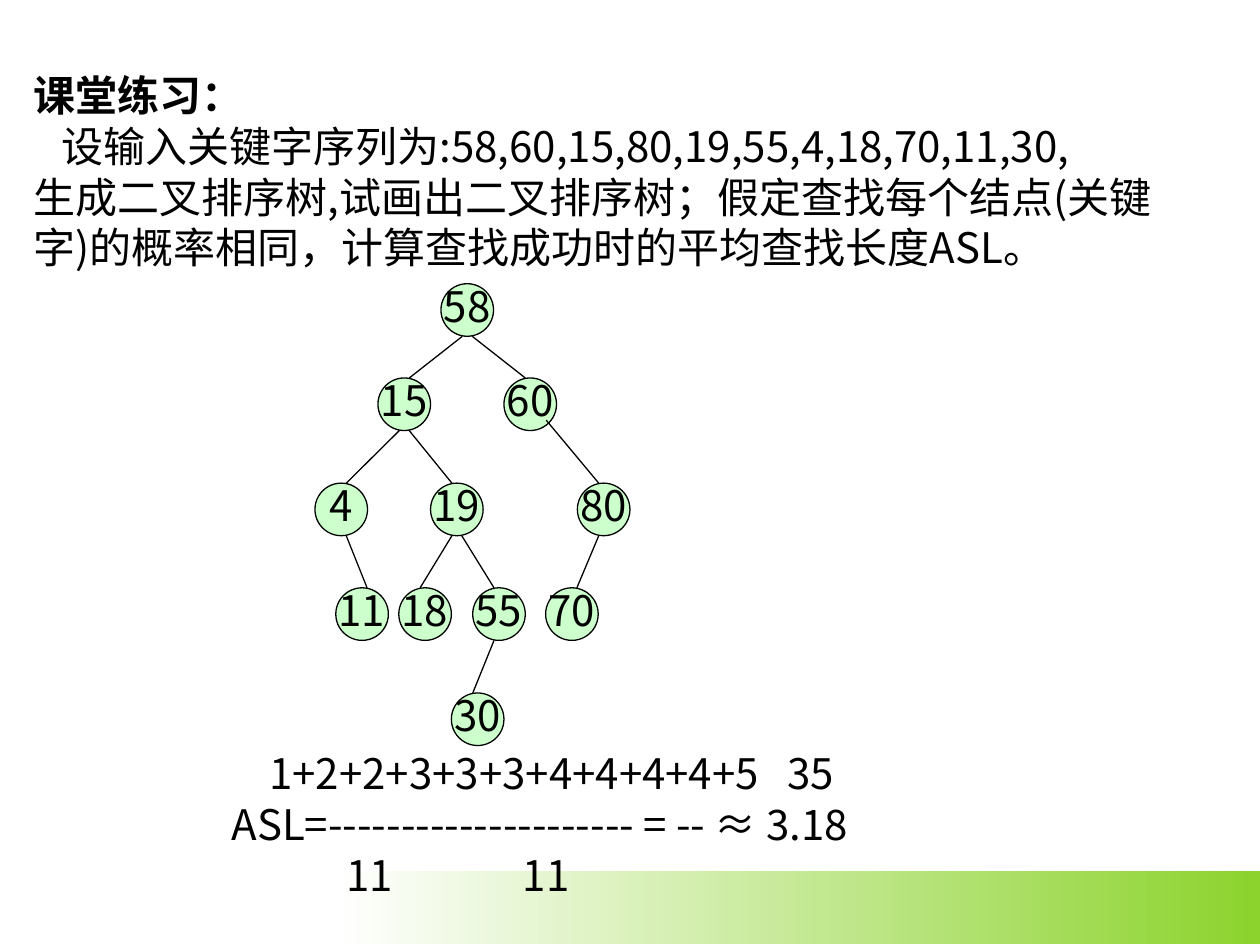
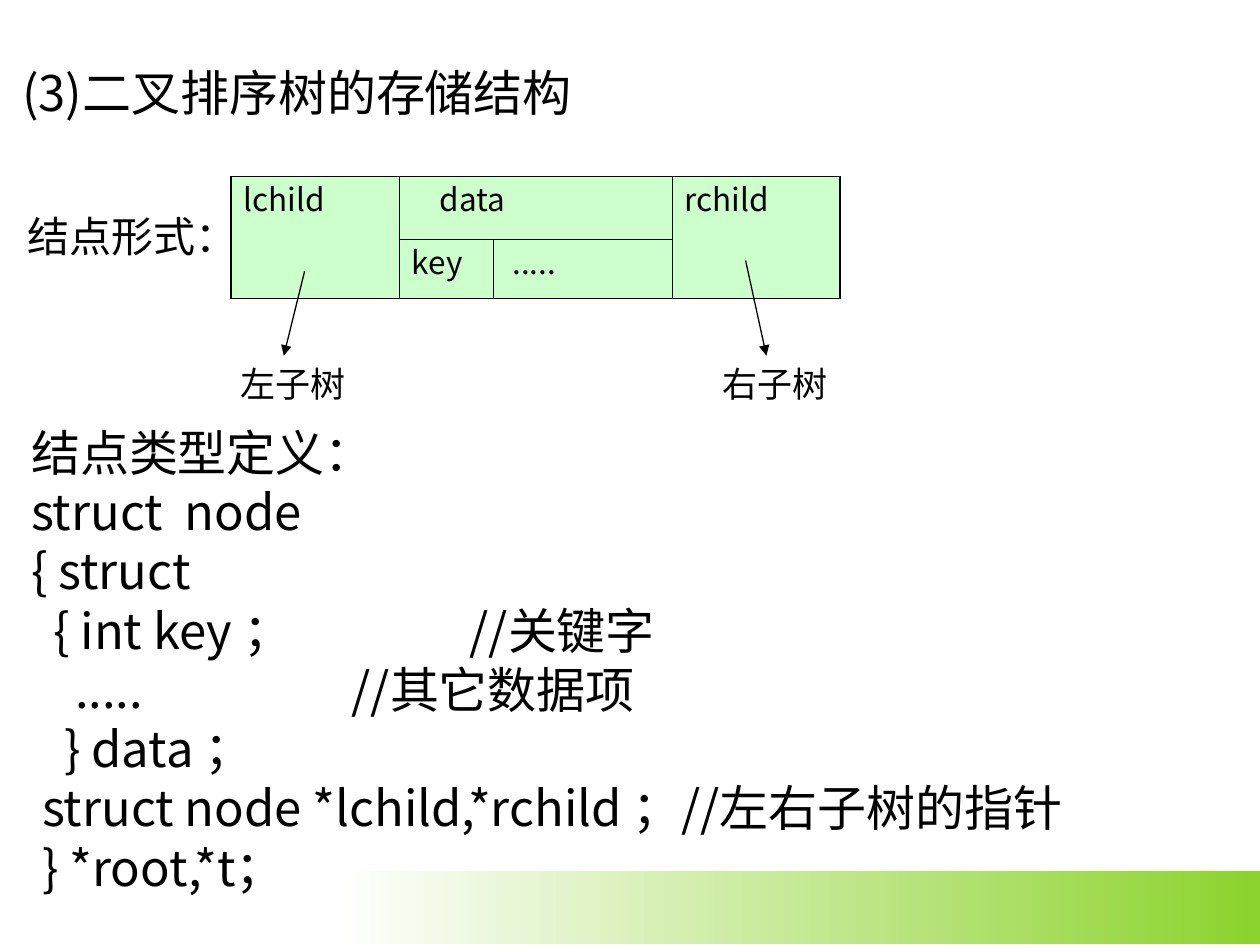
"""Build two slides on binary search trees: a class exercise and the node storage structure."""
from lxml.etree import SubElement
from pptx import Presentation
from pptx.dml.color import RGBColor
from pptx.enum.shapes import MSO_CONNECTOR as CONN, MSO_SHAPE as SHAPE
from pptx.enum.text import MSO_ANCHOR as ANCHOR, PP_ALIGN as ALIGN
from pptx.oxml.ns import qn
from pptx.util import Cm, Pt

COLORS = {"ink": "000000", "node": "CCFFCC", "white": "FFFFFF", "band": "8CD32D"}
FONT = "Noto Sans CJK SC"
LEADING = 1.21

EXERCISE = [
    ("课堂练习：", {"bold": True}),
    ("设输入关键字序列为:58,60,15,80,19,55,4,18,70,11,30,", {"indent": 0.56}),
    ("生成二叉排序树,试画出二叉排序树；假定查找每个结点(关键", {}),
    ("字)的概率相同，计算查找成功时的平均查找长度ASL。", {}),
]
ASL = [
    ("\t1+2+2+3+3+3+4+4+4+4+5\t35", {"tabs": (0.76, 11.2)}),
    ("ASL=--------------------- = -- ≈ 3.18", {}),
    ("\t11\t11", {"tabs": (2.31, 5.87)}),
]

NODE_SIZE = 1.06
LEVEL_TOPS = [5.72, 7.62, 9.74, 11.85, 13.97]
LEVELS = [
    {58: 8.89},
    {15: 7.62, 60: 10.16},
    {4: 6.35, 19: 8.68, 80: 11.64},
    {11: 6.77, 18: 8.04, 55: 9.53, 70: 11.0},
    {30: 9.1},
]
EDGES = [
    (58, 15, -0.1, 0.1), (58, 60, 0.1, -0.1),
    (15, 4, -0.1, 0.1), (15, 19, 0.1, -0.1), (60, 80, 0.32, -0.1),
    (4, 11, 0.1, 0.1), (19, 18, -0.1, -0.1), (19, 55, 0.1, -0.1),
    (80, 70, -0.1, 0.1), (55, 30, -0.1, -0.1),
]
EDGE_LIFT = {60: 0.21}

TITLE = [("(3)二叉排序树的存储结构", {})]
COLUMNS = [3.39, 1.9, 3.6, 3.39]
ROWS = [1.27, 1.19]
FIELDS = [
    (0, 0, 1, 0, "lchild", 0.25), (0, 1, 0, 2, "data", 0.81),
    (0, 3, 1, 3, "rchild", 0.25), (1, 1, 1, 1, "key", 0.25),
    (1, 2, 1, 2, ".....", 0.38),
]
ARROWS = [((6.14, 5.47), (5.72, 7.17)), ((15.03, 5.25), (15.45, 7.17))]
LABELS = [
    ("左子树", (4.6, 7.17, 2.62, 1.11), 20),
    ("右子树", (14.32, 7.17, 2.62, 1.11), 20),
    ("结点形式：", (0.3, 4.11, 4.72, 1.27), 24),
]
STRUCT = [
    ("结点类型定义：", {}),
    ("struct  node", {}),
    ("{ struct", {}),
    ("  { int key ；\t//关键字", {"tabs": (8.84,)}),
    ("    .....\t//其它数据项", {"tabs": (6.46,)}),
    ("   } data ；", {}),
    (" struct node *lchild,*rchild ；//左右子树的指针", {}),
    (" } *root,*t；", {}),
]


def rgb(name):
    return RGBColor.from_string(COLORS[name])


def write(p, text, size, bold=False, indent=0, tabs=(), spacing=None):
    pPr = p._p.get_or_add_pPr()
    if indent:
        pPr.set("indent", str(Cm(indent)))
    if tabs:
        stops = SubElement(pPr, qn("a:tabLst"))
        for pos in tabs:
            SubElement(stops, qn("a:tab"), pos=str(Cm(pos)), algn="l")
    p.line_spacing = spacing or Pt(size * LEADING)
    r = p.add_run()
    r.text = text
    for key, value in {"size": Pt(size), "name": FONT, "bold": bold}.items():
        setattr(r.font, key, value)
    r.font.color.rgb = rgb("ink")
    SubElement(r._r.get_or_add_rPr(), qn("a:ea"), typeface=FONT)


def add_text(s, box, lines, size, wrap=True):
    tf = s.shapes.add_textbox(*map(Cm, box)).text_frame
    tf.word_wrap = wrap
    for i, (text, fmt) in enumerate(lines):
        p = tf.add_paragraph() if i else tf.paragraphs[0]
        write(p, text, size, **fmt)


def add_line(s, start, end, arrow=False):
    c = s.shapes.add_connector(CONN.STRAIGHT, *map(Cm, start + end))
    c.line.color.rgb = rgb("ink")
    c.line.width = Pt(0.75)
    spPr = c._element.spPr
    if arrow:
        SubElement(spPr.find(qn("a:ln")), qn("a:tailEnd"), type="triangle")
    SubElement(spPr, qn("a:effectLst"))


def add_slide(prs):
    s = prs.slides.add_slide(prs.slide_layouts[6])
    band = s.shapes.add_shape(SHAPE.RECTANGLE, Cm(6.78), Cm(17.55), Cm(18.62), Cm(1.48))
    band.shadow.inherit = False
    band.line.fill.background()
    band.fill.gradient()
    band.fill.gradient_angle = 0
    for stop, name in zip(band.fill.gradient_stops, ("white", "band")):
        stop.color.rgb = rgb(name)
    return s


def add_node(s, key, left, top):
    sp = s.shapes.add_shape(SHAPE.OVAL, *map(Cm, (left, top, NODE_SIZE, NODE_SIZE)))
    sp.shadow.inherit = False
    sp.fill.solid()
    sp.fill.fore_color.rgb = rgb("node")
    sp.line.color.rgb = rgb("ink")
    sp.line.width = Pt(0.75)
    tf = sp.text_frame
    tf.word_wrap = False
    tf.vertical_anchor = ANCHOR.MIDDLE
    p = tf.paragraphs[0]
    p.alignment = ALIGN.CENTER
    write(p, str(key), 24, spacing=0.8)


def add_tree(s):
    places = {key: (left, top) for level, top in zip(LEVELS, LEVEL_TOPS)
              for key, left in level.items()}
    for key, place in places.items():
        add_node(s, key, *place)
    half = NODE_SIZE / 2
    for parent, child, dx1, dx2 in EDGES:
        (x1, y1), (x2, y2) = places[parent], places[child]
        bottom = y1 + NODE_SIZE - EDGE_LIFT.get(parent, 0)
        add_line(s, (x1 + half + dx1, bottom), (x2 + half + dx2, y2))


def set_borders(cell, outer):
    tcPr = cell._tc.get_or_add_tcPr()
    for side in "LRTB":
        width = Pt(1.08 if side in outer else 0.45)
        ln = SubElement(tcPr, qn("a:ln" + side), w=str(width))
        fill = SubElement(ln, qn("a:solidFill"))
        SubElement(fill, qn("a:srgbClr"), val=COLORS["ink"])


def add_node_table(s):
    size = Cm(sum(COLUMNS)), Cm(sum(ROWS))
    table = s.shapes.add_table(len(ROWS), len(COLUMNS), Cm(4.66), Cm(3.56), *size).table
    table.first_row = table.horz_banding = False
    for col, width in zip(table.columns, COLUMNS):
        col.width = Cm(width)
    for row, height in zip(table.rows, ROWS):
        row.height = Cm(height)
    for top, left, bottom, right, text, margin in FIELDS:
        cell = table.cell(top, left)
        if (top, left) != (bottom, right):
            cell.merge(table.cell(bottom, right))
        edges = {"L": left == 0, "R": right == len(COLUMNS) - 1,
                 "T": top == 0, "B": bottom == len(ROWS) - 1}
        outer = [side for side, on_edge in edges.items() if on_edge]
        for r in range(top, bottom + 1):
            for c in range(left, right + 1):
                part = table.cell(r, c)
                set_borders(part, outer)
                part.fill.solid()
                part.fill.fore_color.rgb = rgb("node")
        cell.margin_left = Cm(margin)
        write(cell.text_frame.paragraphs[0], text, 18)


def main():
    prs = Presentation()
    prs.slide_width, prs.slide_height = Cm(25.4), Cm(19.05)

    s = add_slide(prs)
    add_text(s, (0.43, 1.27, 24.13, 4.65), EXERCISE, 24)
    add_tree(s)
    add_text(s, (4.42, 14.94, 13.18, 3.3), ASL, 24)

    s = add_slide(prs)
    add_text(s, (0.2, 1.12, 13.49, 1.47), TITLE, 28)
    add_node_table(s)
    for start, end in ARROWS:
        add_line(s, start, end, arrow=True)
    for text, box, size in LABELS:
        add_text(s, box, [(text, {})], size, wrap=False)
    add_text(s, (0.38, 8.38, 24.34, 9.75), STRUCT, 28)

    prs.save("out.pptx")


if __name__ == "__main__":
    main()
